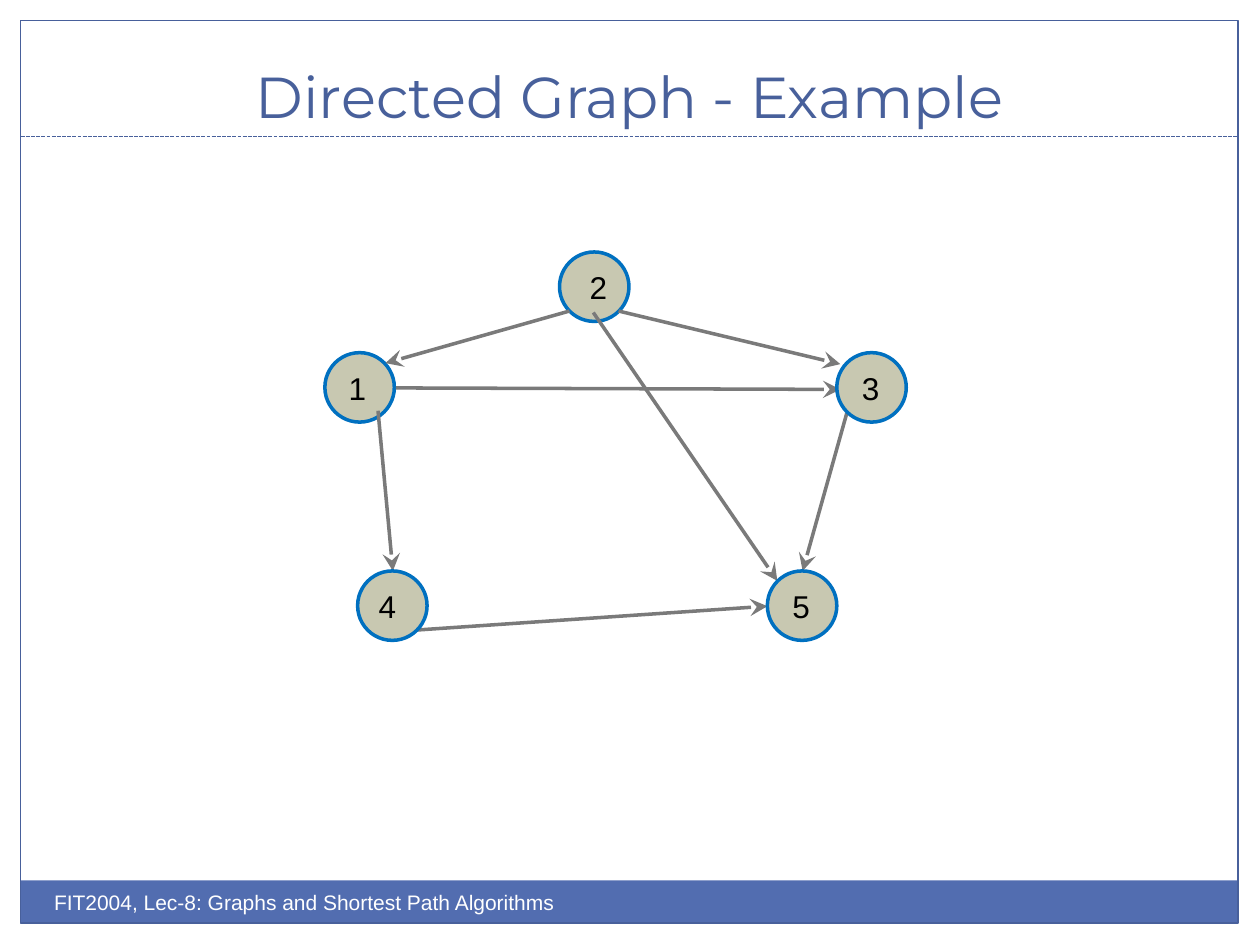
from pptx import Presentation, util as u
from pptx.dml.color import RGBColor
from pptx.enum import dml, shapes, text
from pptx.oxml.ns import qn
from lxml import etree

# Content, lengths in cm
TITLE = "Directed Graph - Example"
FOOTER = "FIT2004, Lec-8: Graphs and Shortest Path Algorithms"
DIAMETER = 1.4
# label: (left, top, label offset, label text)
BACK_NODES = [(11.28, 5.08, 0.18, " 2"), (6.55, 7.11, 0.23, "1")]
FRONT_NODES = [(16.87, 7.11, 0.08, " 3"), (7.21, 11.51, 0, " 4"),
               (15.47, 11.51, 0.08, " 5")]
# (from, to): (x1, y1, x2, y2)
EDGES = {
    (2, 1): (11.48, 6.27, 7.77, 7.32),
    (2, 3): (12.47, 6.27, 16.94, 7.34),
    (1, 4): (7.62, 8.28, 7.92, 11.51),
    (4, 5): (8.41, 12.7, 15.47, 12.22),
    (1, 3): (7.98, 7.82, 16.94, 7.85),
    (3, 5): (17.07, 8.33, 16.18, 11.51),
    (2, 5): (11.96, 6.3, 15.67, 11.71),
}
BLUE, BAND, GREY = "48609B", "526DB0", "7A7A7A"


def color(value):
    return RGBColor.from_string(value)


def cm(*values):
    return [u.Cm(value) for value in values]


def set_line(line, value, width):
    line.color.rgb = color(value)
    line.width = u.Pt(width)


def add_shape(parent, kind, at, fill=None, line=None):
    shape = parent.add_shape(kind, *cm(*at))
    shape.shadow.inherit = False
    if fill:
        shape.fill.solid()
        shape.fill.fore_color.rgb = color(fill)
    else:
        shape.fill.background()
    if line:
        set_line(shape.line, *line)
    else:
        shape.line.fill.background()
    return shape


def add_text(parent, words, at, size, font, value, frame_format):
    box = parent.add_textbox(*cm(*at))
    for name, setting in frame_format.items():
        setattr(box.text_frame, name, setting)
    para = box.text_frame.paragraphs[0]
    span = para.add_run()
    span.text = words
    for name, setting in {"size": u.Pt(size), "name": font}.items():
        setattr(span.font, name, setting)
    span.font.color.rgb = color(value)
    return para


def add_line(ends, value, width):
    line = page.shapes.add_connector(shapes.MSO_CONNECTOR.STRAIGHT, *cm(*ends))
    set_line(line.line, value, width)
    etree.SubElement(line._element.spPr, qn("a:effectLst"))
    return line


def add_node(left, top, offset, label):
    group = page.shapes.add_group_shape().shapes
    add_shape(group, shapes.MSO_SHAPE.OVAL, (left, top, DIAMETER, DIAMETER),
              "C8C8B1", ("0070C0", 2))
    width = 0.86 if len(label) == 1 else 1.04
    add_text(group, label, (left + offset, top + 0.2, width, 1.02),
             18, "Arial", "000000",
             {"word_wrap": False,
              "auto_size": text.MSO_AUTO_SIZE.SHAPE_TO_FIT_TEXT})


deck = Presentation()
deck.slide_width, deck.slide_height = cm(25.4, 19.05)
page = deck.slides.add_slide(deck.slide_layouts[6])

# Frame, footer band and title rule
RECT = shapes.MSO_SHAPE.RECTANGLE
add_shape(page.shapes, RECT, (0.42, 17.75, 24.54, 0.87), BAND)
add_shape(page.shapes, RECT, (0.42, 0.42, 24.54, 18.19), line=(BLUE, 0.75))
rule = add_line((0.42, 2.75, 24.96, 2.75), BLUE, 0.75)
rule.line.dash_style = dml.MSO_LINE.SQUARE_DOT

# Title and footer
title = add_text(page.shapes, TITLE, (0.84, 0.64, 23.7, 2.11), 33, "Montserrat",
                 BLUE, {"word_wrap": True,
                        "vertical_anchor": text.MSO_ANCHOR.BOTTOM})
title.alignment = text.PP_ALIGN.CENTER
add_text(page.shapes, FOOTER, (0.84, 17.8, 12.7, 1.02), 12, "Arial", "FFFFFF",
         {"word_wrap": True})

# Graph: some nodes lie behind the arrows, the others in front
for node in BACK_NODES:
    add_node(*node)
for ends in EDGES.values():
    arrow = add_line(ends, GREY, 2)
    etree.SubElement(arrow.line._get_or_add_ln(), qn("a:tailEnd"),
                     type="stealth", w="lg", len="lg")
for node in FRONT_NODES:
    add_node(*node)

deck.save("out.pptx")
